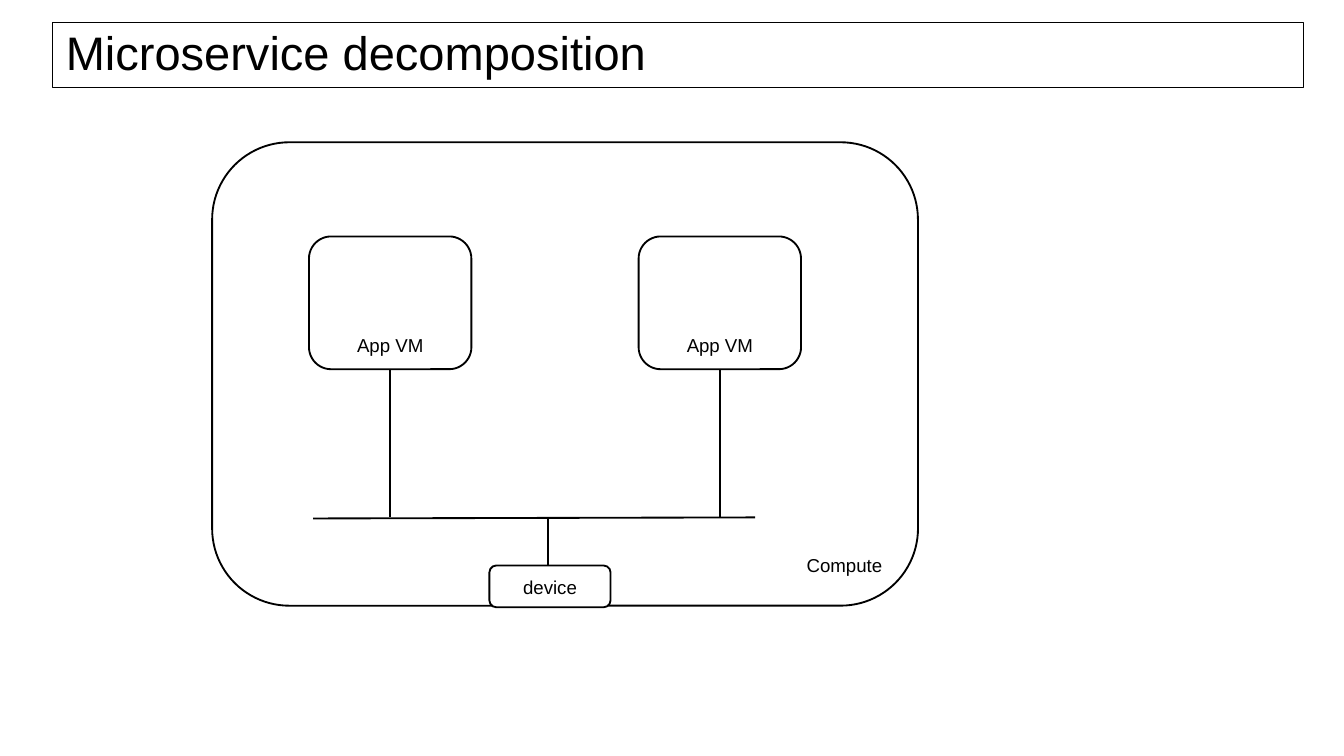
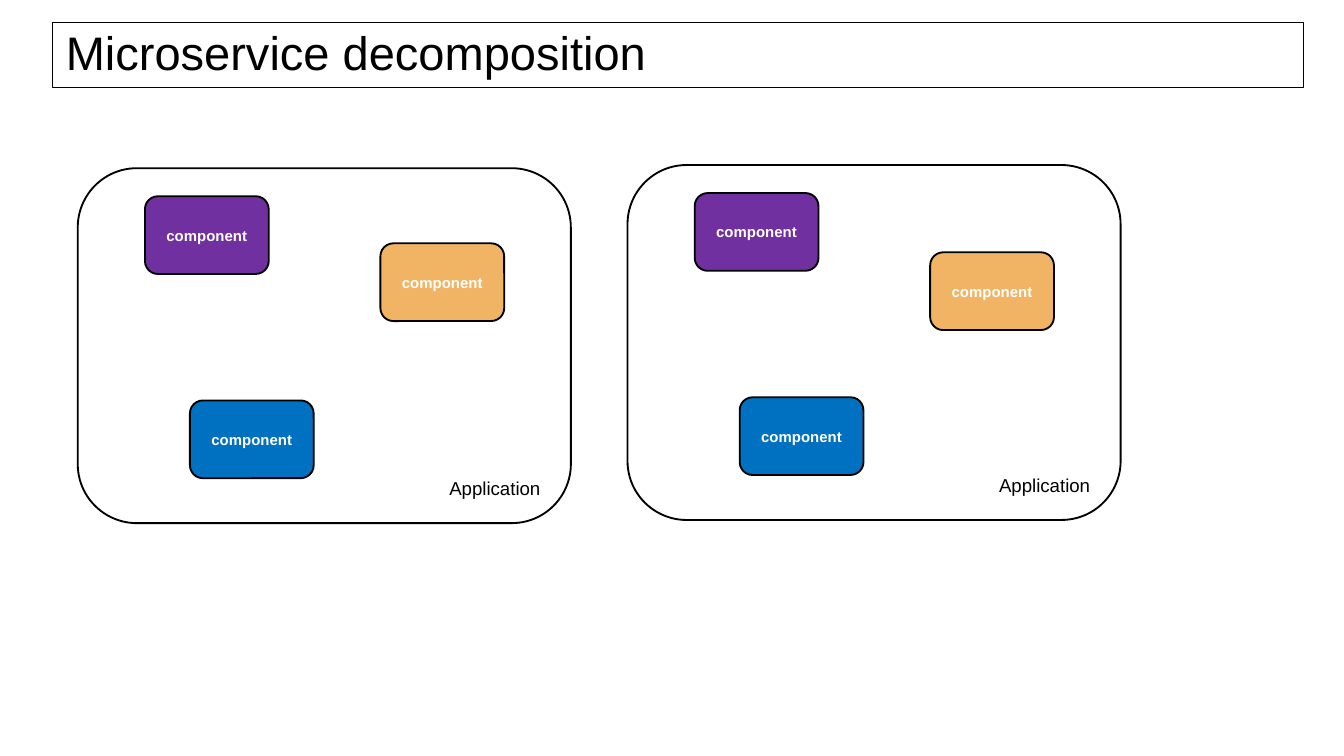
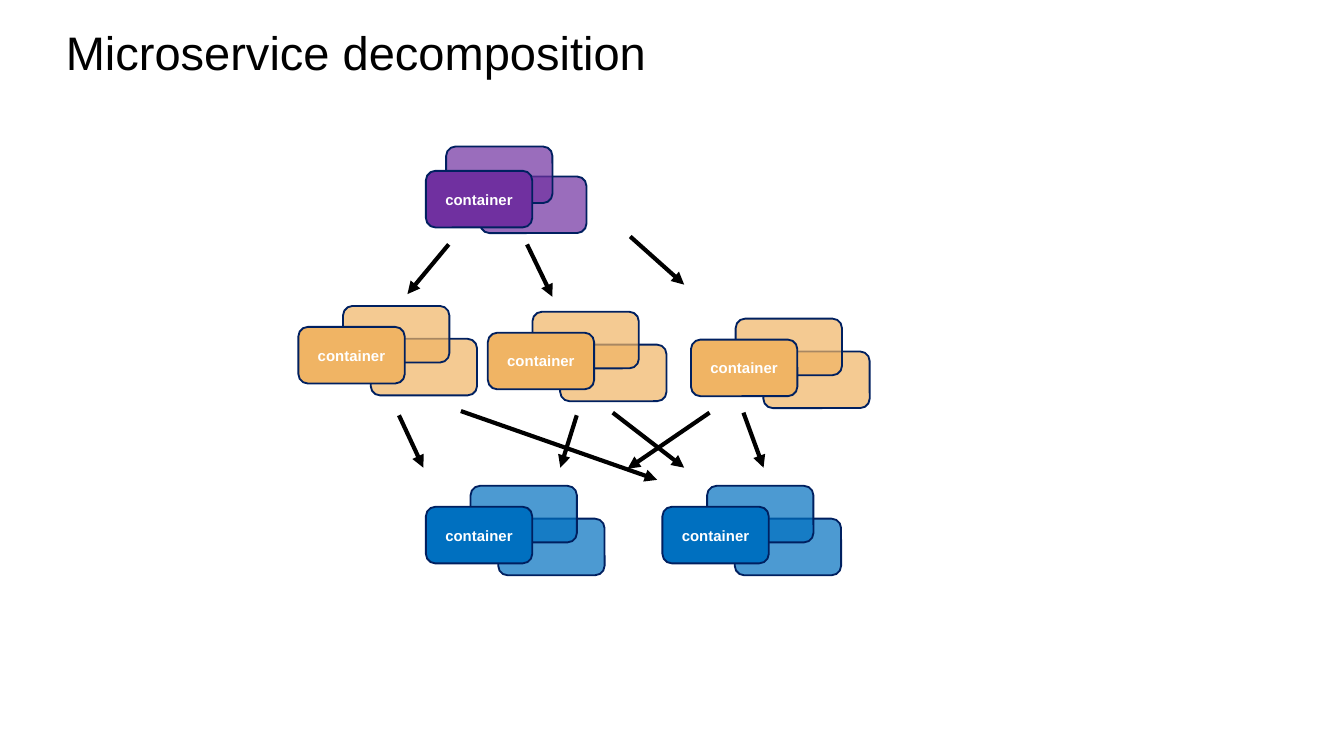
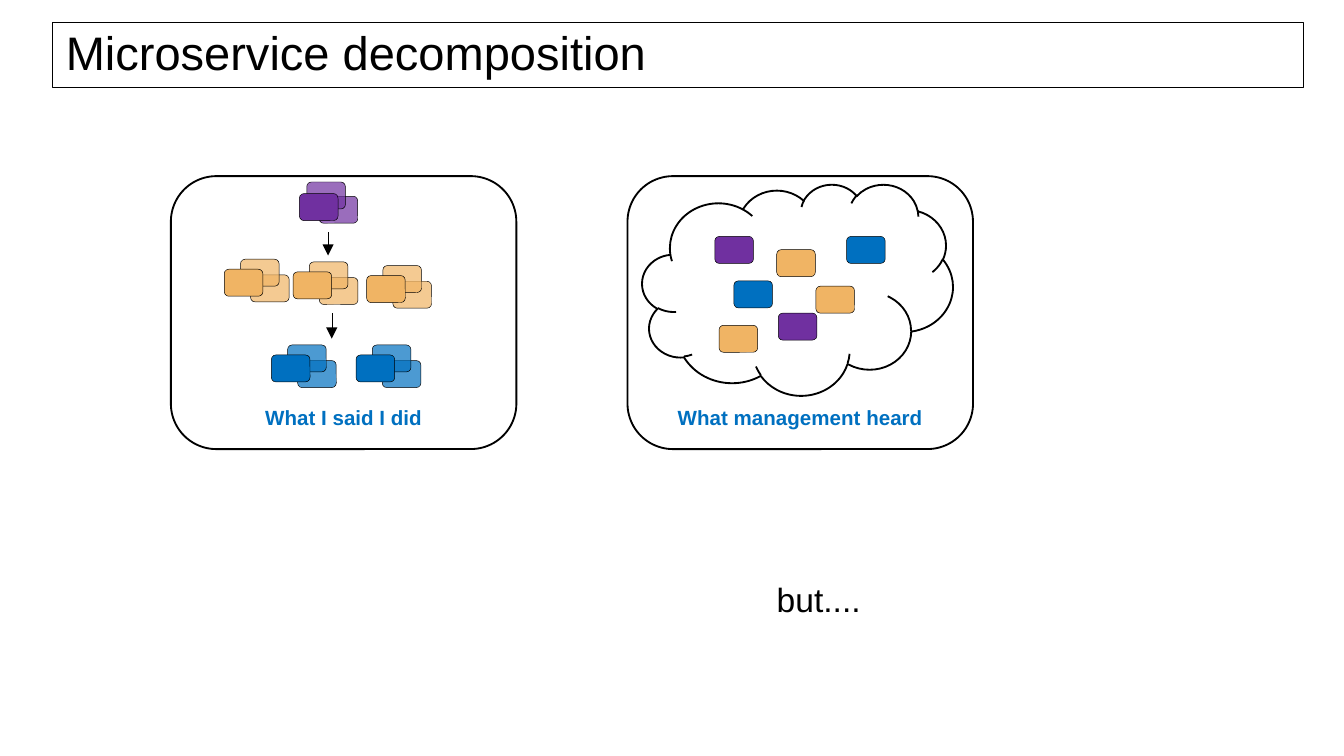
"""Build the four microservice decomposition slides."""
from dataclasses import dataclass
from itertools import chain

from lxml.etree import SubElement
from pptx import Presentation
from pptx.dml.color import RGBColor
from pptx.enum.shapes import MSO_CONNECTOR, MSO_SHAPE
from pptx.enum.text import MSO_ANCHOR, MSO_AUTO_SIZE, PP_ALIGN
from pptx.oxml.ns import qn
from pptx.presentation import Presentation as Deck
from pptx.shapes.autoshape import Shape
from pptx.slide import Slide
from pptx.text.text import _Paragraph
from pptx.util import Cm, Pt

BLACK = RGBColor(0x00, 0x00, 0x00)
WHITE = RGBColor(0xFF, 0xFF, 0xFF)
NAVY = RGBColor(0x00, 0x20, 0x60)
PURPLE = RGBColor(0x70, 0x30, 0xA0)
ORANGE = RGBColor(0xF0, 0xB4, 0x64)
BLUE = RGBColor(0x00, 0x70, 0xC0)

FONT = "Arial"
TITLE = "Microservice decomposition"
REPLICA_OPACITY = 70
WIDE_STAGGER = ((0.68, 0.21), (0.42, -0.37))
TIGHT_STAGGER = ((0.51, 0.1), (0.19, -0.43))


@dataclass(frozen=True)
class Label:
    """Text inside a box and how it is set."""
    text: str
    size: float = 10
    color: RGBColor = BLACK
    bold: bool = False
    align: PP_ALIGN = PP_ALIGN.CENTER
    anchor: MSO_ANCHOR = MSO_ANCHOR.BOTTOM


@dataclass(frozen=True)
class Box:
    """A rounded box, measured in centimetres."""
    x: float
    y: float
    width: float
    height: float
    fill: RGBColor | None = WHITE
    label: Label | None = None
    line: RGBColor = BLACK
    weight: float = 1
    opacity: int = 100
    outline: MSO_SHAPE = MSO_SHAPE.ROUNDED_RECTANGLE


@dataclass(frozen=True)
class Line:
    """A straight line between two points in centimetres."""
    x1: float
    y1: float
    x2: float
    y2: float
    weight: float = 1
    arrow: bool = False


@dataclass(frozen=True)
class ReplicaStyle:
    """Size and finish of the boxes in a set of replica stacks."""
    width: float
    height: float
    line: RGBColor
    weight: float
    label: Label | None = None


@dataclass(frozen=True)
class Stack:
    """Front corner and colour of one service with its replicas."""
    x: float
    y: float
    color: RGBColor
    stagger: tuple[tuple[float, float], ...] = WIDE_STAGGER


COMPONENT = Label("component", 8, WHITE, True, anchor=MSO_ANCHOR.MIDDLE)
CONTAINER = Label("container", 8, WHITE, True, anchor=MSO_ANCHOR.MIDDLE)
LARGE = ReplicaStyle(2.01, 1.07, NAVY, 1, CONTAINER)
SMALL = ReplicaStyle(0.73, 0.51, BLACK, 0.25)


def set_font(paragraph: _Paragraph, size: float, color: RGBColor, bold: bool = False) -> None:
    """Set the font of a whole paragraph."""
    font = paragraph.font
    font.name, font.size, font.bold = FONT, Pt(size), bold
    font.color.rgb = color


def draw_box(slide: Slide, box: Box) -> Shape:
    """Draw a box with its label."""
    shape = slide.shapes.add_shape(
        box.outline, Cm(box.x), Cm(box.y), Cm(box.width), Cm(box.height))
    shape.shadow.inherit = False
    if box.fill is None:
        shape.fill.background()
    else:
        shape.fill.solid()
        shape.fill.fore_color.rgb = box.fill
    if box.opacity < 100:
        color = shape.fill._xPr.find(qn("a:solidFill"))[0]
        SubElement(color, qn("a:alpha")).set("val", str(box.opacity * 1000))
    shape.line.color.rgb = box.line
    shape.line.width = Pt(box.weight)
    if box.label:
        frame = shape.text_frame
        frame.word_wrap = True
        frame.vertical_anchor = box.label.anchor
        paragraph = frame.paragraphs[0]
        paragraph.text = box.label.text
        paragraph.alignment = box.label.align
        set_font(paragraph, box.label.size, box.label.color, box.label.bold)
    return shape


def draw_line(slide: Slide, line: Line) -> None:
    """Draw a line, with an arrowhead at its end if asked for."""
    connector = slide.shapes.add_connector(
        MSO_CONNECTOR.STRAIGHT, Cm(line.x1), Cm(line.y1), Cm(line.x2), Cm(line.y2))
    connector.line.color.rgb = BLACK
    connector.line.width = Pt(line.weight)
    if line.arrow:
        SubElement(connector.line._get_or_add_ln(), qn("a:tailEnd")).set("type", "triangle")
    SubElement(connector._element.spPr, qn("a:effectLst"))


def draw_stack(slide: Slide, stack: Stack, style: ReplicaStyle) -> None:
    """Draw the translucent replicas and the solid service in front."""
    for across, down in stack.stagger:
        draw_box(slide, Box(
            stack.x + across * style.width, stack.y + down * style.height,
            style.width, style.height, stack.color,
            line=style.line, weight=style.weight, opacity=REPLICA_OPACITY))
    draw_box(slide, Box(stack.x, stack.y, style.width, style.height, stack.color,
                        style.label, style.line, style.weight))


def add_titled_slide(deck: Deck, framed: bool = True) -> Slide:
    """Add a title-only slide with the shared title style."""
    slide = deck.slides.add_slide(deck.slide_layouts[5])
    title = slide.shapes.title
    title.left, title.top, title.width, title.height = Cm(0.99), Cm(0.43), Cm(23.65), Cm(1.22)
    if framed:
        title.line.color.rgb = BLACK
        title.line.width = Pt(0.75)
    frame = title.text_frame
    frame.text = TITLE
    frame.auto_size = MSO_AUTO_SIZE.NONE
    frame.vertical_anchor = MSO_ANCHOR.MIDDLE
    heading = frame.paragraphs[0]
    heading.alignment = PP_ALIGN.LEFT
    heading.line_spacing = 0.9
    set_font(heading, 25.2, BLACK)
    return slide


def build_compute(deck: Deck) -> None:
    """Show two virtual machines sharing a device on one compute node."""
    slide = add_titled_slide(deck)
    draw_box(slide, Box(4.01, 2.69, 13.34, 8.76, label=Label("Compute", align=PP_ALIGN.RIGHT)))
    for vm_x in (5.84, 12.07):
        draw_box(slide, Box(vm_x, 4.47, 3.07, 2.51, label=Label("App VM")))
        link_x = vm_x + 1.53
        draw_line(slide, Line(link_x, 6.99, link_x, 9.78))
    draw_line(slide, Line(5.92, 9.8, 14.27, 9.78))
    draw_line(slide, Line(10.36, 9.8, 10.36, 10.82))
    draw_box(slide, Box(9.25, 10.69, 2.29, 0.79, label=Label("device")))


def build_applications(deck: Deck) -> None:
    """Show two applications made of the same three components."""
    slide = add_titled_slide(deck)
    for app_x, app_y, orange_drop in ((1.47, 3.18, 1.42), (11.86, 3.12, 1.65)):
        draw_box(slide, Box(app_x, app_y, 9.32, 6.71,
                            label=Label("Application", align=PP_ALIGN.RIGHT)))
        components = ((1.27, 0.53, PURPLE), (5.72, orange_drop, ORANGE), (2.12, 4.39, BLUE))
        for across, down, color in components:
            draw_box(slide, Box(app_x + across, app_y + down, 2.34, 1.47, color, COMPONENT))


def build_containers(deck: Deck) -> None:
    """Show replicated containers calling one another in three tiers."""
    slide = add_titled_slide(deck, framed=False)
    stacks = (
        Stack(8.05, 3.23, PURPLE, TIGHT_STAGGER),
        Stack(5.64, 6.18, ORANGE),
        Stack(9.22, 6.29, ORANGE),
        Stack(13.06, 6.42, ORANGE),
        Stack(8.05, 9.58, BLUE),
        Stack(12.52, 9.58, BLUE),
    )
    for stack in stacks:
        draw_stack(slide, stack, LARGE)
    calls = (
        (8.48, 4.62, 7.7, 5.56),
        (9.96, 4.62, 10.44, 5.61),
        (11.91, 4.47, 12.93, 5.38),
        (7.54, 7.85, 8, 8.84),
        (8.71, 7.77, 12.42, 9.07),
        (10.9, 7.85, 10.59, 8.84),
        (11.58, 7.8, 12.93, 8.84),
        (13.41, 7.8, 11.86, 8.86),
        (14.05, 7.8, 14.43, 8.84),
    )
    for call in calls:
        draw_line(slide, Line(*call, weight=2.25, arrow=True))


def build_comparison(deck: Deck) -> None:
    """Contrast the tiers that were built with what management heard."""
    slide = add_titled_slide(deck)
    for panel_x, caption in ((3.23, "What I said I did"), (11.86, "What management heard")):
        draw_box(slide, Box(panel_x, 3.33, 6.53, 5.16, label=Label(caption, 11, BLUE, True)))
    stacks = (
        Stack(5.66, 3.66, PURPLE, TIGHT_STAGGER),
        Stack(4.24, 5.09, ORANGE),
        Stack(5.54, 5.14, ORANGE),
        Stack(6.93, 5.21, ORANGE),
        Stack(5.13, 6.71, BLUE),
        Stack(6.73, 6.71, BLUE),
    )
    for stack in stacks:
        draw_stack(slide, stack, SMALL)
    for tier_link in ((6.2, 4.39, 6.2, 4.83), (6.27, 5.92, 6.27, 6.4)):
        draw_line(slide, Line(*tier_link, weight=0.25, arrow=True))
    draw_box(slide, Box(12.14, 3.48, 5.87, 3.99, None, outline=MSO_SHAPE.CLOUD))
    scattered = {
        PURPLE: ((13.51, 4.47), (14.71, 5.92)),
        ORANGE: ((13.59, 6.15), (14.68, 4.72), (15.42, 5.41)),
        BLUE: ((13.87, 5.31), (16, 4.47)),
    }
    pieces = chain.from_iterable(
        ((x, y, color) for x, y in places) for color, places in scattered.items())
    for x, y, color in pieces:
        draw_box(slide, Box(x, y, SMALL.width, SMALL.height, color, weight=SMALL.weight))
    aside = slide.shapes.add_textbox(Cm(14.43), Cm(10.9), Cm(2.29), Cm(0.94)).text_frame
    aside.word_wrap = False
    aside.auto_size = MSO_AUTO_SIZE.SHAPE_TO_FIT_TEXT
    aside.text = "but...."
    aside.paragraphs[0].line_spacing = 0.9
    set_font(aside.paragraphs[0], 18, BLACK)


def main() -> None:
    """Build and save the deck."""
    deck = Presentation()
    deck.slide_width, deck.slide_height = Cm(25.4), Cm(14.29)
    for build in (build_compute, build_applications, build_containers, build_comparison):
        build(deck)
    deck.save("out.pptx")


if __name__ == "__main__":
    main()
